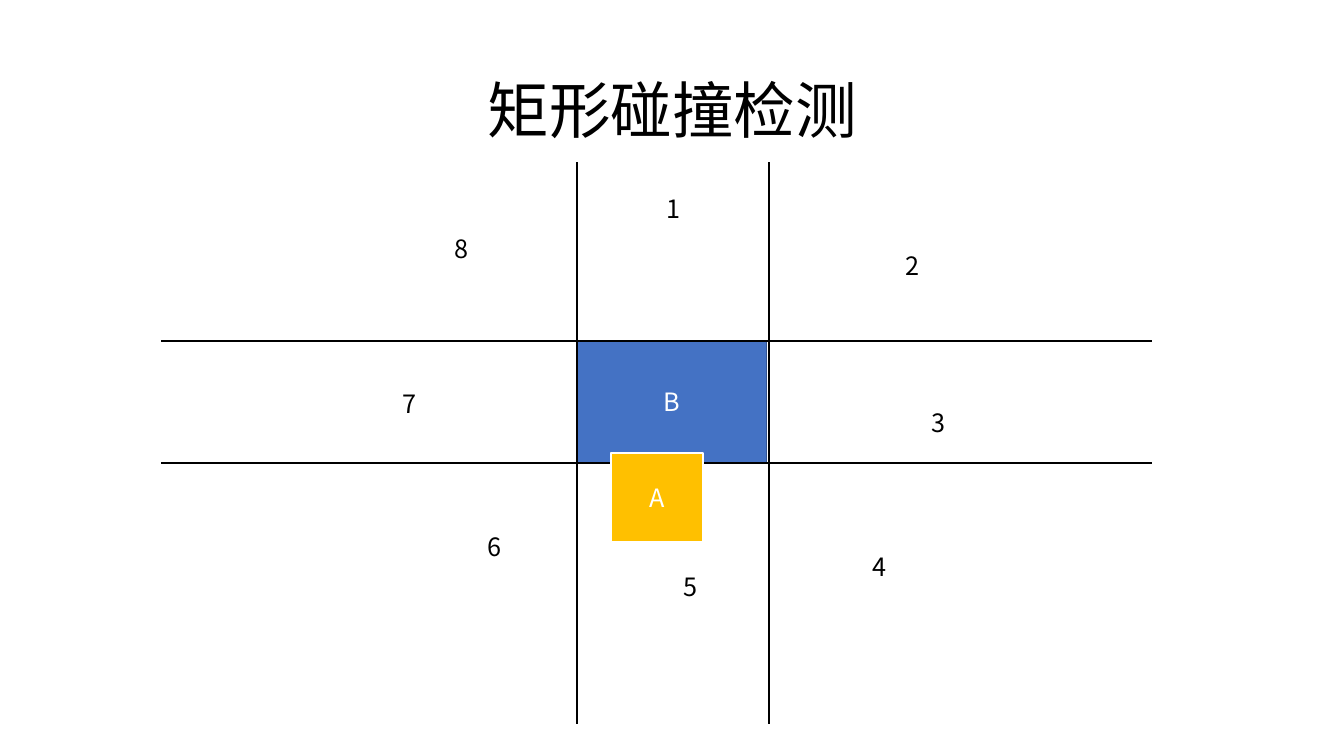
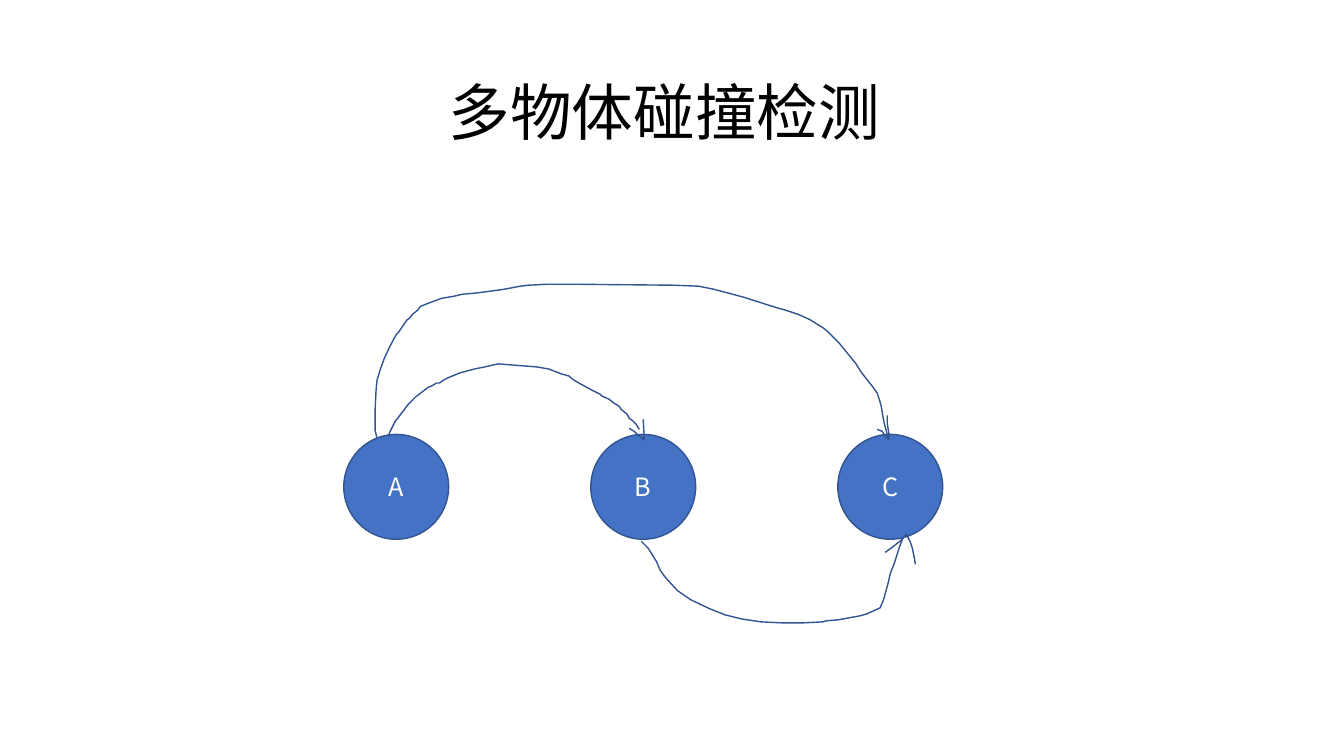
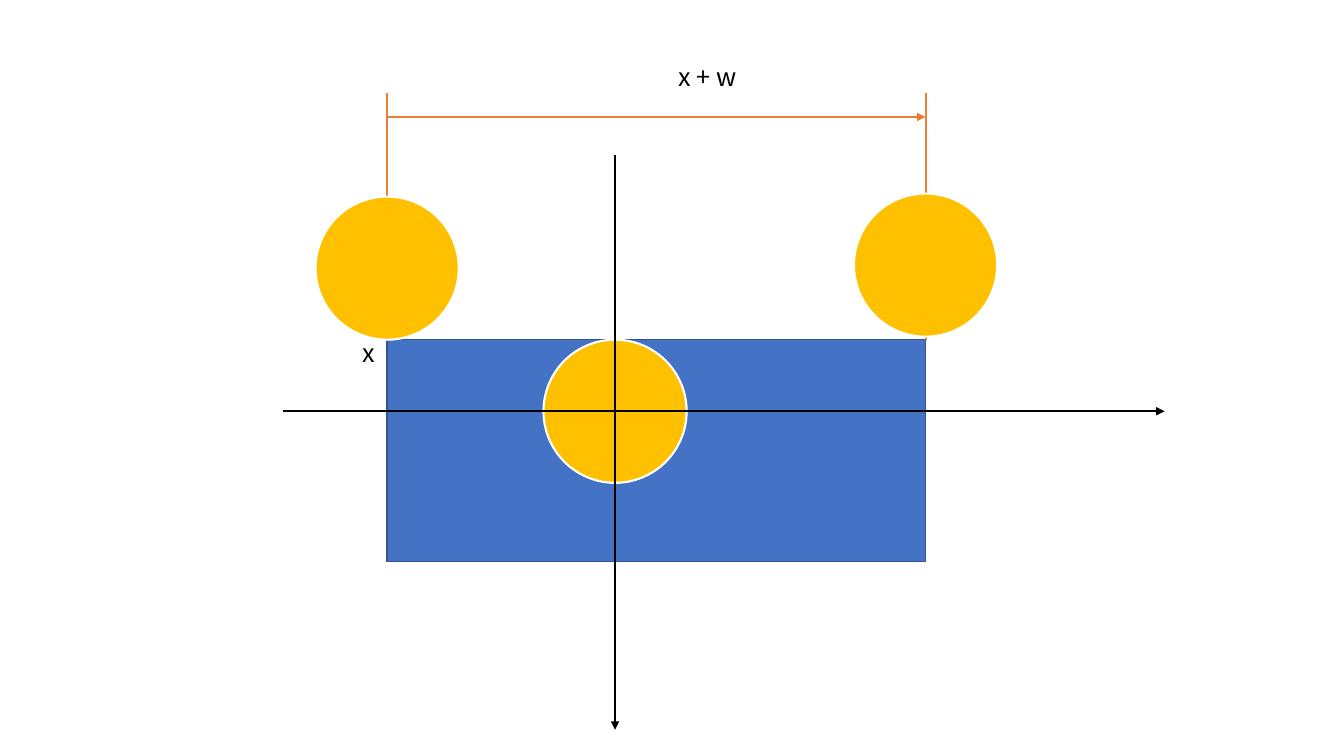
from dataclasses import dataclass

from lxml import etree
from pptx import Presentation
from pptx import util as u
from pptx.dml.color import RGBColor
from pptx.enum import shapes, text
from pptx.oxml import ns

PX = u.Inches(0.01)


@dataclass(frozen=True)
class Theme:
    font: str = "Noto Sans CJK SC"
    ink: RGBColor = RGBColor(0x00, 0x00, 0x00)
    white: RGBColor = RGBColor(0xFF, 0xFF, 0xFF)
    blue: RGBColor = RGBColor(0x44, 0x72, 0xC4)
    edge: RGBColor = RGBColor(0x32, 0x54, 0x91)
    gold: RGBColor = RGBColor(0xFF, 0xC0, 0x00)
    orange: RGBColor = RGBColor(0xED, 0x7D, 0x31)
    title_size: int = 44
    body_size: int = 18
    thin: float = 1
    thick: float = 1.5


THEME = Theme()
RECTANGLE = shapes.MSO_SHAPE.RECTANGLE
OVAL = shapes.MSO_SHAPE.OVAL

ARC_A_TO_B = [
    (385, 433), (387, 428), (392, 418), (399, 409), (405, 401), (412, 394),
    (425, 384), (428, 383), (433, 380), (436, 380), (440, 377), (444, 375),
    (456, 370), (471, 366), (481, 364), (494, 361), (519, 363), (532, 364),
    (544, 366), (557, 371), (564, 373), (569, 377), (576, 381), (587, 387),
    (595, 391), (597, 393), (604, 396), (609, 400), (614, 403), (616, 406),
    (622, 411), (624, 415), (627, 417), (631, 421), (634, 426),
]
ARC_A_TO_C = [
    (374, 435), (372, 427), (372, 407), (373, 387), (374, 377), (377, 367),
    (381, 356), (387, 343), (393, 332), (395, 330), (404, 317), (406, 316),
    (409, 312), (414, 308), (417, 304), (427, 300), (438, 296), (450, 294),
    (458, 292), (470, 291), (486, 289), (500, 287), (516, 284), (524, 283),
    (543, 282), (569, 282), (669, 283), (693, 284), (708, 287), (723, 291),
    (738, 295), (766, 304), (780, 308), (792, 312), (803, 317), (816, 325),
    (821, 329), (832, 340), (849, 361), (854, 369), (861, 378), (865, 383),
    (870, 390), (872, 396), (874, 403), (876, 415), (877, 420), (880, 431),
    (881, 436),
]
ARC_B_TO_C = [
    (636, 537), (643, 544), (651, 557), (655, 566), (660, 573), (672, 586),
    (685, 595), (704, 604), (719, 610), (735, 614), (755, 617), (776, 618),
    (796, 618), (816, 617), (819, 616), (831, 615), (853, 611), (860, 609),
    (873, 603), (876, 596), (881, 578), (883, 569), (887, 559), (892, 543),
    (895, 535),
]
HEAD_B_TO_C = [
    (878, 548), (885, 543), (890, 539), (895, 535), (899, 530), (903, 538),
    (905, 544), (907, 554), (908, 560),
]
HEAD_A_TO_B = [(624, 425), (629, 428), (633, 432), (639, 436), (638, 416)]
HEAD_A_TO_C = [
    (870, 426), (875, 428), (879, 434), (881, 436), (882, 433), (880, 420),
    (880, 412),
]


def add_page(deck):
    return deck.slides.add_slide(deck.slide_layouts[6])


def write(frame, words, size, color, align):
    frame.text = words
    para = frame.paragraphs[0]
    para.alignment = align
    span = para.runs[0]
    span.font.name = THEME.font
    span.font.size = u.Pt(size)
    span.font.color.rgb = color
    east_asian = etree.SubElement(span.font._element, ns.qn("a:ea"))
    east_asian.set("typeface", THEME.font)
    return para


def add_title(page, left, top, words):
    box = page.shapes.add_textbox(left * PX, top * PX, 1150 * PX, 145 * PX)
    frame = box.text_frame
    frame.word_wrap = True
    frame.vertical_anchor = text.MSO_ANCHOR.MIDDLE
    para = write(frame, words, THEME.title_size, THEME.ink, text.PP_ALIGN.CENTER)
    para.line_spacing = 0.9


def add_label(page, left, top, words, width=34):
    box = page.shapes.add_textbox(left * PX, top * PX, width * PX, 40 * PX)
    frame = box.text_frame
    frame.word_wrap = False
    frame.auto_size = text.MSO_AUTO_SIZE.SHAPE_TO_FIT_TEXT
    write(frame, words, THEME.body_size, THEME.ink, text.PP_ALIGN.LEFT)


def add_body(page, kind, area, fill, edge, weight, words=""):
    body = page.shapes.add_shape(kind, *(length * PX for length in area))
    body.shadow.inherit = False
    body.fill.solid()
    body.fill.fore_color.rgb = fill
    body.line.color.rgb = edge
    body.line.width = u.Pt(weight)
    if words:
        frame = body.text_frame
        frame.vertical_anchor = text.MSO_ANCHOR.MIDDLE
        write(frame, words, THEME.body_size, THEME.white, text.PP_ALIGN.CENTER)


def add_blue(page, kind, area, words=""):
    add_body(page, kind, area, THEME.blue, THEME.edge, THEME.thin, words)


def add_gold(page, kind, area, words=""):
    add_body(page, kind, area, THEME.gold, THEME.white, THEME.thick, words)


def add_line(page, start, end, color=THEME.ink, arrow=False):
    ends = (length * PX for length in (*start, *end))
    line = page.shapes.add_connector(shapes.MSO_CONNECTOR.STRAIGHT, *ends)
    line.line.color.rgb = color
    line.line.width = u.Pt(THEME.thick)
    if arrow:
        tail = etree.SubElement(line.line._get_or_add_ln(), ns.qn("a:tailEnd"))
        tail.set("type", "triangle")
    etree.SubElement(line._element.spPr, ns.qn("a:effectLst"))


def add_stroke(page, points):
    builder = page.shapes.build_freeform(*points[0], scale=PX)
    builder.add_line_segments(points[1:], close=False)
    stroke = builder.convert_to_shape()
    stroke.shadow.inherit = False
    stroke.fill.background()
    stroke.line.color.rgb = THEME.edge
    stroke.line.width = u.Pt(THEME.thin)


def build_rectangle_page(deck):
    page = add_page(deck)
    add_title(page, 92, 40, "矩形碰撞检测")
    add_blue(page, RECTANGLE, (572, 338, 188, 121), "B")
    for x in (572, 763):
        add_line(page, (x, 718), (x, 161))
    for y in (459, 338):
        add_line(page, (160, y), (1143, y))
    zones = [(651, 187), (888, 243), (914, 399), (856, 542),
             (668, 562), (474, 522), (389, 380), (441, 227)]
    for number, (left, top) in enumerate(zones, 1):
        add_label(page, left, top, str(number))
    add_gold(page, RECTANGLE, (606, 449, 91, 89), "A")


def build_objects_page(deck):
    page = add_page(deck)
    add_title(page, 84, 42, "多物体碰撞检测")
    for index, name in enumerate("ABC"):
        add_blue(page, OVAL, (341 + index * 245, 431, 104, 104), name)
    for points in (ARC_A_TO_B, ARC_A_TO_C, ARC_B_TO_C,
                   HEAD_B_TO_C, HEAD_A_TO_B, HEAD_A_TO_C):
        add_stroke(page, points)


def build_range_page(deck):
    page = add_page(deck)
    left, right, top, ball = 384, 918, 337, 142
    add_blue(page, RECTANGLE, (left, top, right - left, 220))
    add_gold(page, OVAL, (539, top, ball, ball))
    add_line(page, (610, 154), (610, 724), arrow=True)
    add_line(page, (281, 408), (1155, 408), arrow=True)
    for x in (left, right):
        add_line(page, (x, top), (x, 92), THEME.orange)
    add_line(page, (left, 116), (right, 116), THEME.orange, arrow=True)
    add_label(page, 350, 330, "x", 31)
    add_label(page, 663, 56, "x + w", 79)
    for center, ball_top in ((left, 195), (right, 192)):
        add_gold(page, OVAL, (center - ball // 2, ball_top, ball, ball))


def main():
    deck = Presentation()
    deck.slide_width = 1333 * PX
    deck.slide_height = 750 * PX
    build_rectangle_page(deck)
    build_objects_page(deck)
    build_range_page(deck)
    deck.save("out.pptx")


if __name__ == "__main__":
    main()
